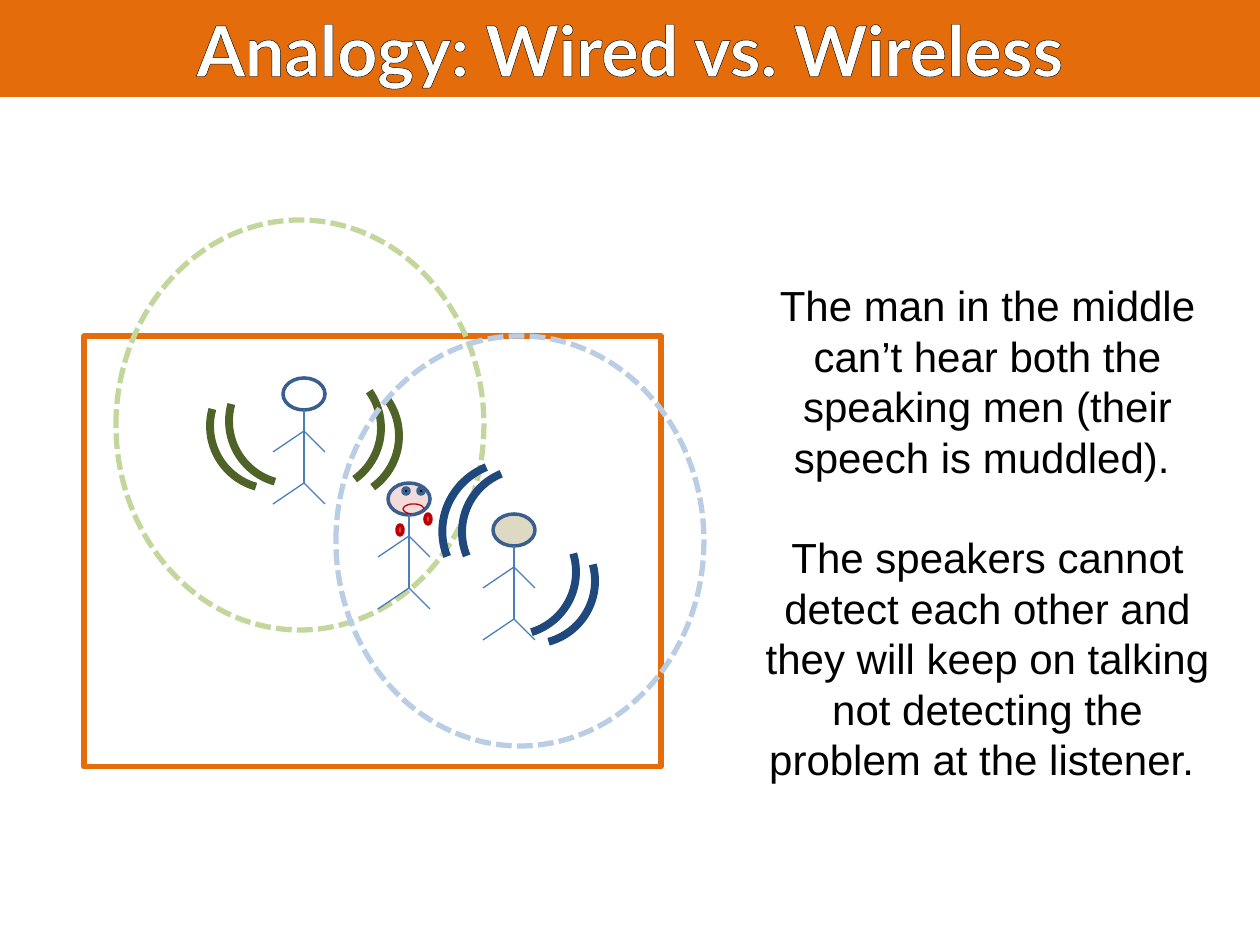
from lxml import etree
from pptx import Presentation
from pptx.dml.color import RGBColor
from pptx.enum.dml import MSO_LINE
from pptx.enum.shapes import MSO_CONNECTOR, MSO_SHAPE
from pptx.enum.text import MSO_ANCHOR, PP_ALIGN
from pptx.oxml.ns import qn
from pptx.util import Emu, Pt

RECT, OVAL, ARC = MSO_SHAPE.RECTANGLE, MSO_SHAPE.OVAL, MSO_SHAPE.ARC
STRAIGHT = MSO_CONNECTOR.STRAIGHT
DASH = MSO_LINE.SQUARE_DOT
CENTER = PP_ALIGN.CENTER
MIDDLE = MSO_ANCHOR.MIDDLE

BLACK = RGBColor(0x00, 0x00, 0x00)
WHITE = RGBColor(0xFF, 0xFF, 0xFF)
ORANGE = RGBColor(0xE4, 0x6C, 0x0A)
HEAD_LINE = RGBColor(0x3A, 0x5F, 0x8C)
LIMB = RGBColor(0x4B, 0x7E, 0xBC)
TAN = RGBColor(0xDD, 0xD9, 0xC3)
PINK = RGBColor(0xF2, 0xDC, 0xDB)
GREEN = RGBColor(0x4F, 0x62, 0x28)
LIGHT_GREEN = RGBColor(0xC3, 0xD6, 0x9B)
NAVY = RGBColor(0x1F, 0x49, 0x7D)
LIGHT_BLUE = RGBColor(0xB9, 0xCD, 0xE5)
RED = RGBColor(0xC0, 0x00, 0x00)
TEAR = RGBColor(0xC0, 0x50, 0x4D)

SCALE = 914400 / 126


def px(n):
    return Emu(round(n * SCALE))


def add_shape(shapes, kind, box, fill=None, line=None, width=2):
    sp = shapes.add_shape(kind, *map(px, box))
    sp.shadow.inherit = False
    if fill is None:
        sp.fill.background()
    else:
        sp.fill.solid()
        sp.fill.fore_color.rgb = fill
    if line is None:
        sp.line.fill.background()
    else:
        sp.line.color.rgb = line
        sp.line.width = Pt(width)
    return sp


def add_man(shapes, x, y, fill):
    group = shapes.add_group_shape().shapes
    add_shape(group, OVAL, (x + 10, y, 42, 32), fill, HEAD_LINE)
    neck, shoulder, hip = (31, 32), (31, 53), (31, 105)
    limbs = [
        (neck, hip),
        (shoulder, (0, 74)), (shoulder, (52, 74)),
        (hip, (0, 126)), (hip, (52, 126)),
    ]
    for (x1, y1), (x2, y2) in limbs:
        limb = group.add_connector(STRAIGHT, px(x + x1), px(y + y1), px(x + x2), px(y + y2))
        limb.line.color.rgb = LIMB
        limb.line.width = Pt(0.75)
        etree.SubElement(limb._element.spPr, qn("a:effectLst"))


def add_sad_face(shapes, x, y):
    group = shapes.add_group_shape().shapes
    for dx, dy in ((47, 31), (19, 42)):
        add_shape(group, OVAL, (x + dx, y + dy, 6, 10), TEAR, RED)
    mouth = add_shape(group, ARC, (x + 25, y + 21, 21, 10), None, RED, 0.75)
    mouth.adjustments[0] = 68.56
    mouth.adjustments[1] = 0
    for dx in (25, 40):
        add_shape(group, OVAL, (x + dx, y + 5, 6, 6), BLACK, HEAD_LINE)


def add_voice(shapes, x, y, waves, wave_color, range_color):
    group = shapes.add_group_shape().shapes
    for dx, dy, w, h, angle in waves:
        wave = add_shape(group, ARC, (x + dx, y + dy, w, h), None, wave_color, 4.5)
        wave.rotation = angle
    reach = add_shape(group, OVAL, (x, y, 368, 410), None, range_color, 3)
    reach.line.dash_style = DASH


def add_explanation(shapes, box, paragraphs):
    tf = shapes.add_textbox(*map(px, box)).text_frame
    tf.word_wrap = True
    tf.margin_top = px(28)
    for i, text in enumerate(paragraphs):
        p = tf.paragraphs[0] if i == 0 else tf.add_paragraph()
        p.text = text
        p.alignment = CENTER
        p.line_spacing = Pt(28.8)
        p.space_before = Pt(28.8 if i else 0)
        p.font.name = "Arial"
        p.font.size = Pt(24)
        p.font.color.rgb = BLACK


def add_title(shapes, box, text):
    tf = add_shape(shapes, RECT, box, ORANGE).text_frame
    tf.vertical_anchor = MIDDLE
    p = tf.paragraphs[0]
    p.alignment = CENTER
    r = p.add_run()
    r.text = text
    r.font.name = "Lato"
    r.font.size = Pt(40)
    r.font.bold = True
    r.font.color.rgb = WHITE
    ln = etree.Element(qn("a:ln"), w=str(Pt(0.75)))
    fill = etree.SubElement(ln, qn("a:solidFill"))
    etree.SubElement(fill, qn("a:srgbClr"), val=str(BLACK))
    r.font._element.insert(0, ln)


def main():
    prs = Presentation()
    prs.slide_width, prs.slide_height = px(1260), px(945)
    shapes = prs.slides.add_slide(prs.slide_layouts[6]).shapes

    add_man(shapes, 273, 378, WHITE)
    add_shape(shapes, RECT, (84, 336, 577, 431), None, ORANGE, 3)
    add_man(shapes, 483, 514, TAN)
    green_waves = [
        (139, 145, 126, 126, 54.4), (157, 153, 126, 126, 54.4),
        (113, 138, 126, 126, 195.7), (94, 143, 126, 126, 195.7),
    ]
    add_voice(shapes, 116, 220, green_waves, GREEN, LIGHT_GREEN)
    blue_waves = [
        (126, 133, 126, 126, 247.8), (108, 124, 136, 140, 247.8),
        (133, 182, 126, 126, 74.8), (114, 173, 126, 126, 73),
    ]
    add_voice(shapes, 336, 336, blue_waves, NAVY, LIGHT_BLUE)
    add_explanation(shapes, (746, 252, 483, 543), [
        "The man in the middle can’t hear both the speaking men "
        "(their speech is muddled). ",
        "The speakers cannot detect each other and they will keep on talking "
        "not detecting the problem at the listener. ",
    ])
    add_title(shapes, (0, 0, 1260, 97), "Analogy: Wired vs. Wireless")
    add_man(shapes, 378, 483, PINK)
    add_sad_face(shapes, 378, 483)

    prs.save("out.pptx")


if __name__ == "__main__":
    main()
